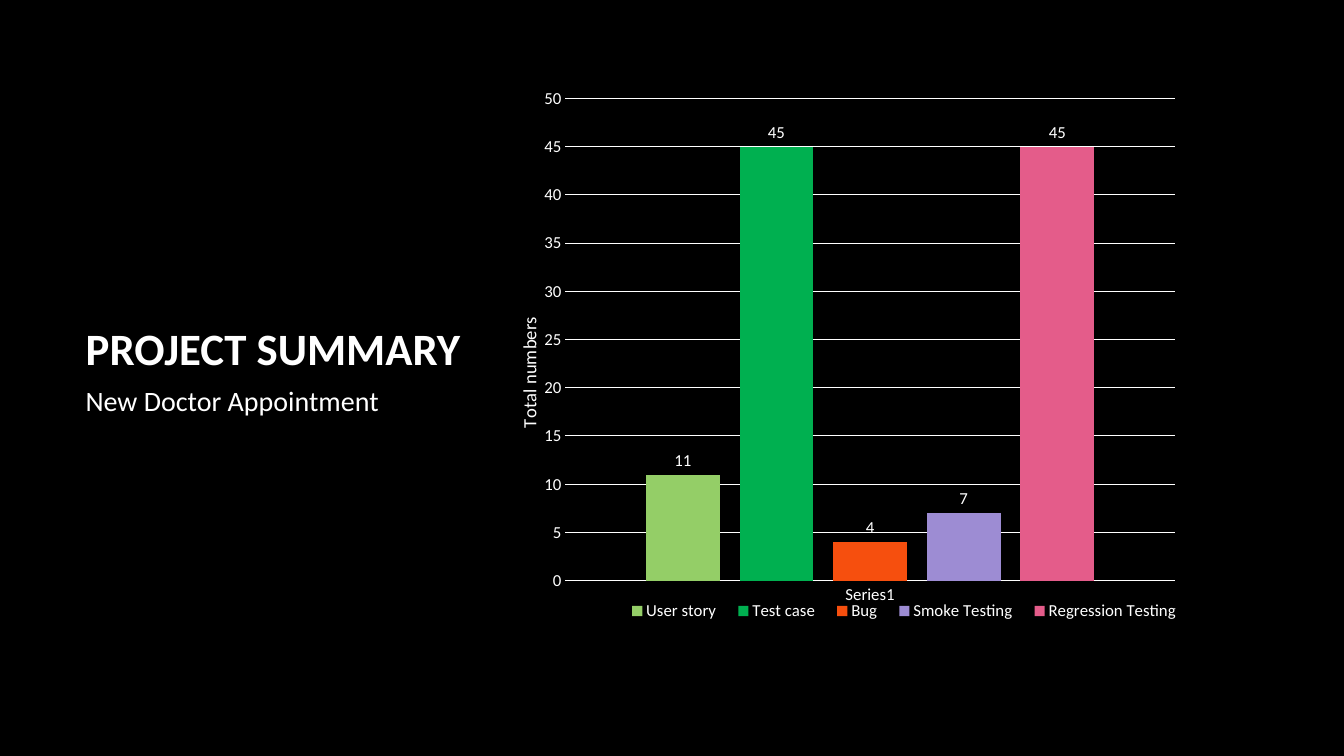
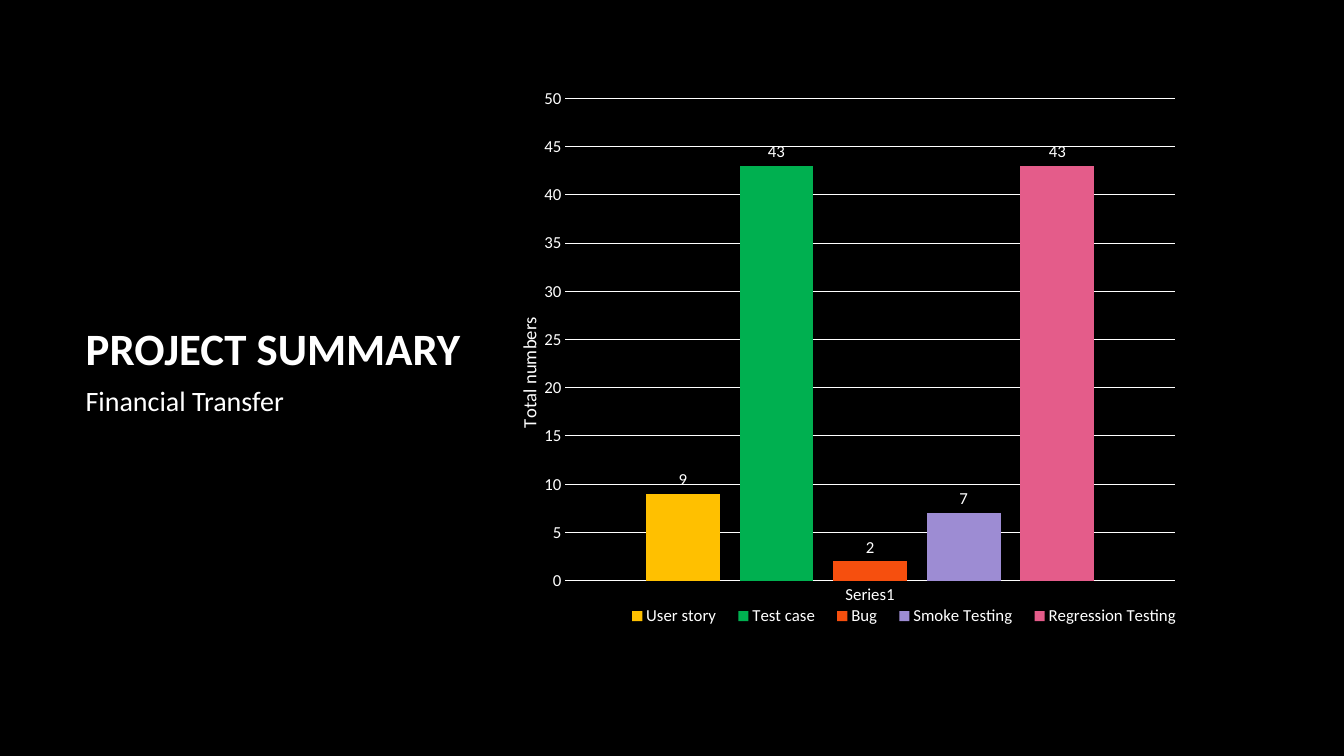
from lxml import etree
from pptx import Presentation
from pptx.chart.data import CategoryChartData
from pptx.dml.color import RGBColor
from pptx.enum.chart import XL_CHART_TYPE, XL_LABEL_POSITION, XL_LEGEND_POSITION, XL_TICK_MARK
from pptx.enum.text import MSO_ANCHOR, MSO_AUTO_SIZE, PP_ALIGN
from pptx.oxml.ns import qn
from pptx.util import Inches, Pt

COLUMNS = XL_CHART_TYPE.COLUMN_CLUSTERED
OUTSIDE_END = XL_LABEL_POSITION.OUTSIDE_END
LEGEND_BOTTOM = XL_LEGEND_POSITION.BOTTOM
NO_TICK = XL_TICK_MARK.NONE
ANCHOR_TOP, ANCHOR_BOTTOM = MSO_ANCHOR.TOP, MSO_ANCHOR.BOTTOM
NO_AUTOFIT = MSO_AUTO_SIZE.NONE
LEFT = PP_ALIGN.LEFT

TITLE_ONLY = 5
FONT = "Calibri"
BLACK, WHITE = "000000", "FFFFFF"
LIGHT_GREEN, AMBER = "94CE67", "FFC000"
GREEN, ORANGE, PURPLE, PINK = "00B050", "F64F0E", "9D8CD3", "E45C8A"

SERIES_NAMES = ["User story", "Test case", "Bug", "Smoke Testing", "Regression Testing"]
SUMMARIES = [
    {"subtitle": "New Doctor Appointment", "values": [11, 45, 4, 7, 45],
     "story_color": LIGHT_GREEN, "legend_top": 91.6},
    {"subtitle": "Financial Transfer", "values": [9, 43, 2, 7, 43],
     "story_color": AMBER, "legend_top": 92.5},
]


def rgb(color):
    """Turn a hex string into a colour."""
    return RGBColor.from_string(color)


def style_font(font, size=12, color=WHITE, bold=False):
    """Set typeface, size, colour and weight of a font."""
    font.name = FONT
    font.size = Pt(size)
    font.bold = bold
    font.color.rgb = rgb(color)


def style_line(line, color=WHITE, width=0.75):
    """Give a line a solid colour and a width."""
    line.color.rgb = rgb(color)
    line.width = Pt(width)


def place(box, left, top, width, height):
    """Move and size a box, in inches."""
    box.left, box.top = Inches(left), Inches(top)
    box.width, box.height = Inches(width), Inches(height)


def write_text(box, text, size, bold=False, anchor=ANCHOR_TOP, space_after=0):
    """Write one left-aligned paragraph into a box."""
    frame = box.text_frame
    frame.word_wrap = True
    frame.auto_size = NO_AUTOFIT
    frame.vertical_anchor = anchor
    para = frame.paragraphs[0]
    para.alignment = LEFT
    para.space_after = Pt(space_after)
    span = para.add_run()
    span.text = text
    style_font(span.font, size, bold=bold)


def add_title(page, text):
    """Fill the title placeholder in the left column."""
    place(page.shapes.title, 0.75, 2.27, 4.03, 1.5)
    write_text(page.shapes.title, text, 32, bold=True, anchor=ANCHOR_BOTTOM)


def add_subtitle(page, text):
    """Add the line of text below the title."""
    box = page.shapes.add_textbox(Inches(0.75), Inches(3.76), Inches(4.13), Inches(2))
    write_text(box, text, 20, space_after=10)


def set_layout(parent, index, inner=False, **percents):
    """Place a chart part by percentages of the chart area."""
    for old in parent.findall(qn("c:layout")):
        parent.remove(old)
    layout = etree.Element(qn("c:layout"))
    manual = etree.SubElement(layout, qn("c:manualLayout"))
    if inner:
        etree.SubElement(manual, qn("c:layoutTarget")).set("val", "inner")
    for name in ("x", "y"):
        etree.SubElement(manual, qn(f"c:{name}Mode")).set("val", "edge")
    for name, percent in percents.items():
        etree.SubElement(manual, qn(f"c:{name}")).set("val", f"{percent / 100:.3f}")
    parent.insert(index, layout)


def no_fill():
    """Build shape properties without fill and line."""
    properties = etree.Element(qn("c:spPr"))
    etree.SubElement(properties, qn("a:noFill"))
    line = etree.SubElement(properties, qn("a:ln"))
    etree.SubElement(line, qn("a:noFill"))
    return properties


def style_axes(chart):
    """Format both axes, the gridlines and the value title."""
    for axis in (chart.category_axis, chart.value_axis):
        axis.major_tick_mark = axis.minor_tick_mark = NO_TICK
        style_font(axis.tick_labels.font)
    style_line(chart.category_axis.format.line)
    values = chart.value_axis
    values.minimum_scale, values.maximum_scale, values.major_unit = 0, 50, 5
    values.format.line.fill.background()
    style_line(values.major_gridlines.format.line)
    span = values.axis_title.text_frame.paragraphs[0].add_run()
    span.text = "Total numbers"
    style_font(span.font, 13.3)
    title = chart.element.find(".//" + qn("c:valAx")).find(qn("c:title"))
    body = title.find(".//" + qn("a:bodyPr"))
    body.set("rot", "-5400000")
    body.set("vert", "horz")
    set_layout(title, 1, x=0.1, y=43)


def style_series(plot, colors):
    """Colour the columns and label each with its value."""
    plot.gap_width, plot.overlap = 219, -27
    plot.vary_by_categories = False
    for series, color in zip(plot.series, colors):
        series.format.fill.solid()
        series.format.fill.fore_color.rgb = rgb(color)
        labels = series.data_labels
        labels.show_value = True
        labels.position = OUTSIDE_END
        style_font(labels.font)


def add_legend(chart, top):
    """Add a one-row legend below the columns."""
    chart.has_legend = True
    chart.legend.position = LEGEND_BOTTOM
    chart.legend.include_in_layout = False
    style_font(chart.legend.font)
    legend = chart.element.find(".//" + qn("c:legend"))
    set_layout(legend, 1, x=15.2, y=top, w=84.8, h=7)


def add_summary_chart(page, values, story_color, legend_top):
    """Add the column chart with one series per kind of item."""
    data = CategoryChartData()
    data.categories = ["Series1"]
    for name, value in zip(SERIES_NAMES, values):
        data.add_series(name, [value])
    chart = page.shapes.add_chart(
        COLUMNS, Inches(5.08), Inches(0.67), Inches(6.75), Inches(5.67), data).chart
    chart.has_title = False
    style_font(chart.font, 10)
    style_axes(chart)
    style_series(chart.plots[0], [story_color, GREEN, ORANGE, PURPLE, PINK])
    add_legend(chart, legend_top)

    body = chart.element.find(qn("c:chart"))
    area = body.find(qn("c:plotArea"))
    body.addnext(no_fill())
    area.append(no_fill())
    set_layout(area, 0, inner=True, x=7.8, y=5.4, w=89.6, h=84.4)


def main():
    """Build the two summary slides and save the deck."""
    deck = Presentation()
    deck.slide_width, deck.slide_height = Inches(13.33), Inches(7.5)
    background = deck.slide_master.background.fill
    background.solid()
    background.fore_color.rgb = rgb(BLACK)
    for summary in SUMMARIES:
        page = deck.slides.add_slide(deck.slide_layouts[TITLE_ONLY])
        add_title(page, "PROJECT SUMMARY")
        add_summary_chart(page, summary["values"], summary["story_color"],
                          summary["legend_top"])
        add_subtitle(page, summary["subtitle"])
    deck.save("out.pptx")


main()
